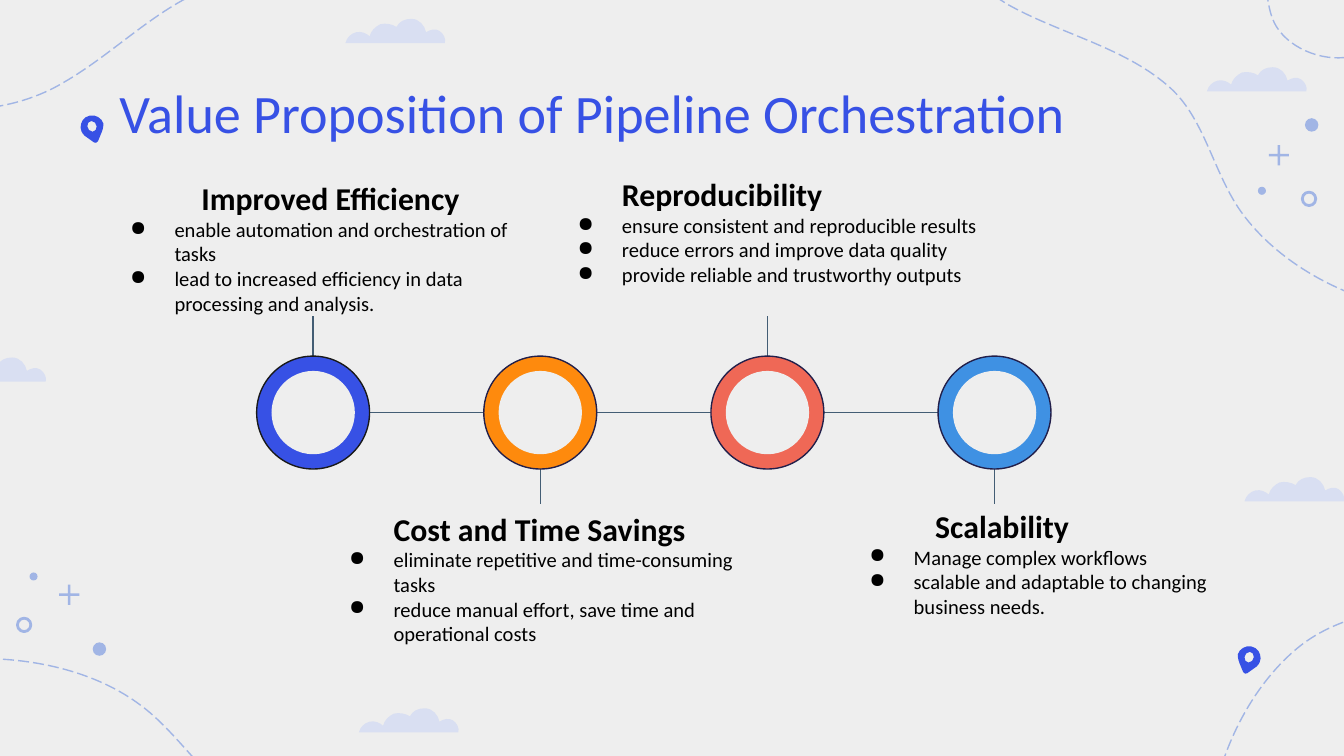
from lxml.etree import SubElement
from pptx import Presentation
from pptx.dml.color import RGBColor
from pptx.enum.dml import MSO_LINE
from pptx.enum.shapes import MSO_CONNECTOR, MSO_SHAPE
from pptx.enum.text import MSO_ANCHOR, MSO_AUTO_SIZE
from pptx.oxml.ns import qn
from pptx.util import Inches, Pt

COLORS = {
    "paper": "EEEEEE", "sky": "A1B5E5", "cloud": "D9DFF2", "blue": "3751E5",
    "orange": "FE8A0D", "coral": "EF6856", "azure": "3F91E3",
    "navy": "221F4A", "ink": "191919", "slate": "435D74", "black": "000000",
}
RGB = {name: RGBColor.from_string(value) for name, value in COLORS.items()}

prs = Presentation()
prs.slide_width, prs.slide_height = Inches(10), Inches(5.625)
s = prs.slides.add_slide(prs.slide_layouts[6])
s.background.fill.solid()
s.background.fill.fore_color.rgb = RGB["paper"]

# All lengths below count square grid cells, 100 to the slide's width.
CELL = prs.slide_width // 100


def outline(contours, left=0, top=0, flip=1, closed=True):
    """Build a freeform; each contour is a start, then 2-number lines and 6-number Béziers."""
    fb = None
    for contour in contours:
        emu = [(round((left + flip * x) * CELL), round((top + y) * CELL))
               for part in contour for x, y in zip(part[::2], part[1::2])]
        if fb is None:
            fb = s.shapes.build_freeform(*emu[0], scale=1.0)
        else:
            fb.move_to(*emu[0])
        fb.add_line_segments(emu[1:], close=closed)
    sp = fb.convert_to_shape()
    # Join each run of three line points that stands for a Bézier
    steps = iter(list(sp._element.iter(qn("a:lnTo"))))
    for part in (part for contour in contours for part in contour[1:]):
        first = next(steps)
        if len(part) == 6:
            first.tag = qn("a:cubicBezTo")
            for step in (next(steps), next(steps)):
                first.append(step[0])
                step.getparent().remove(step)
    return sp


def paint(sp, fill=None, line=None, width=0.75):
    sp.shadow.inherit = False
    for fmt, color in ((sp.fill, fill), (sp.line.fill, line)):
        if color:
            fmt.solid()
            fmt.fore_color.rgb = RGB[color]
        else:
            fmt.background()
    if line:
        sp.line.width = Pt(width)


# Dashed trails
TRAILS = [
    [(67.7, -10.5), (68.3, -6.1, 71.3, -1.8, 75.1, 0.4), (78.9, 2.5, 83.5, 3.5, 86.8, 6.3),
     (89.6, 8.6, 90.2, 12.7, 92.3, 15.7), (94.5, 18.8, 98.1, 21.1, 101.8, 22.3)],
    [(44.5, 70.9), (42.3, 66.7, 37.8, 63.3, 33.2, 62.4), (28.6, 61.4, 23.6, 62, 19.3, 60.2),
     (15.6, 58.8, 13.6, 54.8, 10.5, 52.5), (7.2, 50, 2.7, 49, -1.4, 49)],
    [(101.2, 4), (99.3, 4.8, 96.5, 4, 95.2, 2.3), (94, 0.8, 94.5, -1.5, 93.6, -3.2)],
    [(90.8, 69), (88.2, 62.2, 91.1, 52.6, 96.7, 48.1), (101.9, 44, 109.9, 45.6, 115.8, 42.6)],
    [(-8.3, 7.1), (-4.2, 8.8, 1, 8.4, 4.8, 6.1), (8.6, 3.9, 11.7, 0.5, 15.8, -1),
     (19.2, -2.2, 23.1, -0.7, 26.7, -1), (30.5, -1.3, 34.2, -3.4, 37.1, -6)],
]
for trail in TRAILS:
    sp = outline([trail], closed=False)
    paint(sp, line="sky")
    sp.line.dash_style = MSO_LINE.LONG_DASH

# Map pins, the second one mirrored
PIN = [
    [(0.8, 0.4), (1, 0.4, 1.2, 0.6, 1.2, 0.8), (1.2, 1, 1.1, 1.2, 0.9, 1.2),
     (0.7, 1.2, 0.5, 1, 0.5, 0.8), (0.5, 0.6, 0.6, 0.4, 0.8, 0.4)],
    [(0.7, 0), (0.2, 0.1, 0, 0.5, 0, 0.9), (0, 1.1, 0.1, 1.3, 0.3, 1.5), (1, 2),
     (1.1, 2.1, 1.2, 2, 1.3, 1.9), (1.5, 1.4), (1.6, 1.2, 1.7, 0.9, 1.7, 0.6),
     (1.6, 0.2, 1.1, -0.1, 0.7, 0)],
]
for left, top, flip in ((6, 8.6, 1), (93.8, 48.1, -1)):
    paint(outline(PIN, left, top, flip), "blue")

# Clouds
CLOUD = [(4.9, 0), (4.4, 0, 4, 0.2, 3.8, 0.6), (3.5, 0.4, 3, 0.3, 2.6, 0.4),
         (2.2, 0.6, 1.9, 0.9, 1.8, 1.3), (1.6, 1.1, 1.2, 0.9, 0.8, 1),
         (0.4, 1.1, 0.1, 1.4, 0, 1.8), (7.4, 1.8), (7.5, 1.5, 7.3, 1.1, 7, 0.9),
         (6.7, 0.7, 6.3, 0.8, 6, 1), (5.9, 0.5, 5.5, 0, 4.9, 0)]
for left, top in ((89.8, 5), (25.7, 1.4), (92.6, 35.5), (26.7, 52.7), (-4, 26.6)):
    paint(outline([CLOUD], left, top), "cloud")

# Plus signs, rings and dots
MARKS = [
    (MSO_SHAPE.CROSS, 1.5, {"fill": "sky"}, [(94.4, 10.8), (4.4, 43.5)]),
    (MSO_SHAPE.OVAL, 1, {"line": "sky", "width": 1.5}, [(96.9, 14.3), (1.3, 46)]),
    (MSO_SHAPE.OVAL, 1, {"fill": "sky"}, [(97.1, 8.8), (6.9, 47.8)]),
    (MSO_SHAPE.OVAL, 0.6, {"fill": "sky"}, [(93.6, 13.9), (2.2, 42.6)]),
]
for kind, size, look, places in MARKS:
    for x, y in places:
        sp = s.shapes.add_shape(kind, *(round(v * CELL) for v in (x, y, size, size)))
        paint(sp, **look)
        if kind == MSO_SHAPE.CROSS:
            sp.adjustments[0] = 0.44

# Timeline: stems alternate up and down, links join neighbouring rings
FIRST, PITCH, MIDDLE, RADIUS, HOLE = 23.3, 16.9, 30.7, 4.2, 3.1
RINGS = [("blue", "ink"), ("orange", "navy"), ("coral", "navy"), ("azure", "navy")]
lines = []
for i in range(len(RINGS)):
    x = FIRST + i * PITCH
    lines.append((x, MIDDLE, x, 37.5 if i % 2 else 23.5))
    if i:
        lines.append((x - PITCH + RADIUS, MIDDLE, x - RADIUS, MIDDLE))
for ends in lines:
    c = s.shapes.add_connector(MSO_CONNECTOR.STRAIGHT, *(round(v * CELL) for v in ends))
    c.line.color.rgb, c.line.width = RGB["slate"], Pt(0.75)
    SubElement(c._element.spPr, qn("a:effectLst"))
for i, (fill, line) in enumerate(RINGS):
    x = FIRST + i * PITCH
    for radius, look in ((RADIUS, (fill, line)), (HOLE, ("paper",))):
        box = (x - radius, MIDDLE - radius, 2 * radius, 2 * radius)
        paint(s.shapes.add_shape(MSO_SHAPE.OVAL, *(round(v * CELL) for v in box)), *look)

# Texts: box, then paragraphs of (text, style, left margin, first-line indent)
STYLES = {
    "title": {"size": Pt(29), "bold": False, "color": "blue"},
    "heading": {"size": Pt(17), "bold": True, "color": "black"},
    "item": {"size": Pt(11), "bold": False, "color": "black"},
}
TOPICS = [
    ((7, 12.3, 32.8, 12.3), 7, "Improved Efficiency",
     ["enable automation and orchestration of tasks",
      "lead to increased efficiency in data processing and analysis."]),
    ((62, 36.7, 29.8, 10.4), 6.6, "Scalability",
     ["Manage complex workflows", "scalable and adaptable to changing business needs."]),
    ((40.3, 12, 34, 12.3), 5, "Reproducibility",
     ["ensure consistent and reproducible results", "reduce errors and improve data quality",
      "provide reliable and trustworthy outputs"]),
    ((23.3, 36.9, 32.8, 12.3), 5, "Cost and Time Savings",
     ["eliminate repetitive and time-consuming tasks",
      "reduce manual effort, save time and operational costs"]),
]
texts = [((7.9, 4.9, 88.8, 6.3),
          [("Value Proposition of Pipeline Orchestration", "title", 0, 0)])]
for box, margin, heading, items in TOPICS:
    texts.append((box, [(heading, "heading", margin, 0)]
                  + [(item, "item", 5, -3.3) for item in items]))
for box, paragraphs in texts:
    tf = s.shapes.add_textbox(*(round(v * CELL) for v in box)).text_frame
    frame = {"word_wrap": True, "auto_size": MSO_AUTO_SIZE.NONE, "vertical_anchor": MSO_ANCHOR.TOP,
             **{f"margin_{side}": CELL for side in ("left", "top", "right", "bottom")}}
    for name, value in frame.items():
        setattr(tf, name, value)
    for n, (text, style, margin, indent) in enumerate(paragraphs):
        p = tf.add_paragraph() if n else tf.paragraphs[0]
        r = p.add_run()
        r.text, r.font.name = text, "Calibri"
        for name, value in STYLES[style].items():
            if name == "color":
                r.font.color.rgb = RGB[value]
            else:
                setattr(r.font, name, value)
        pPr = p._p.get_or_add_pPr()
        pPr.set("marL", str(round(margin * CELL)))
        pPr.set("indent", str(round(indent * CELL)))
        if style == "item":
            SubElement(pPr, qn("a:buChar"), char="●")

prs.save("out.pptx")
